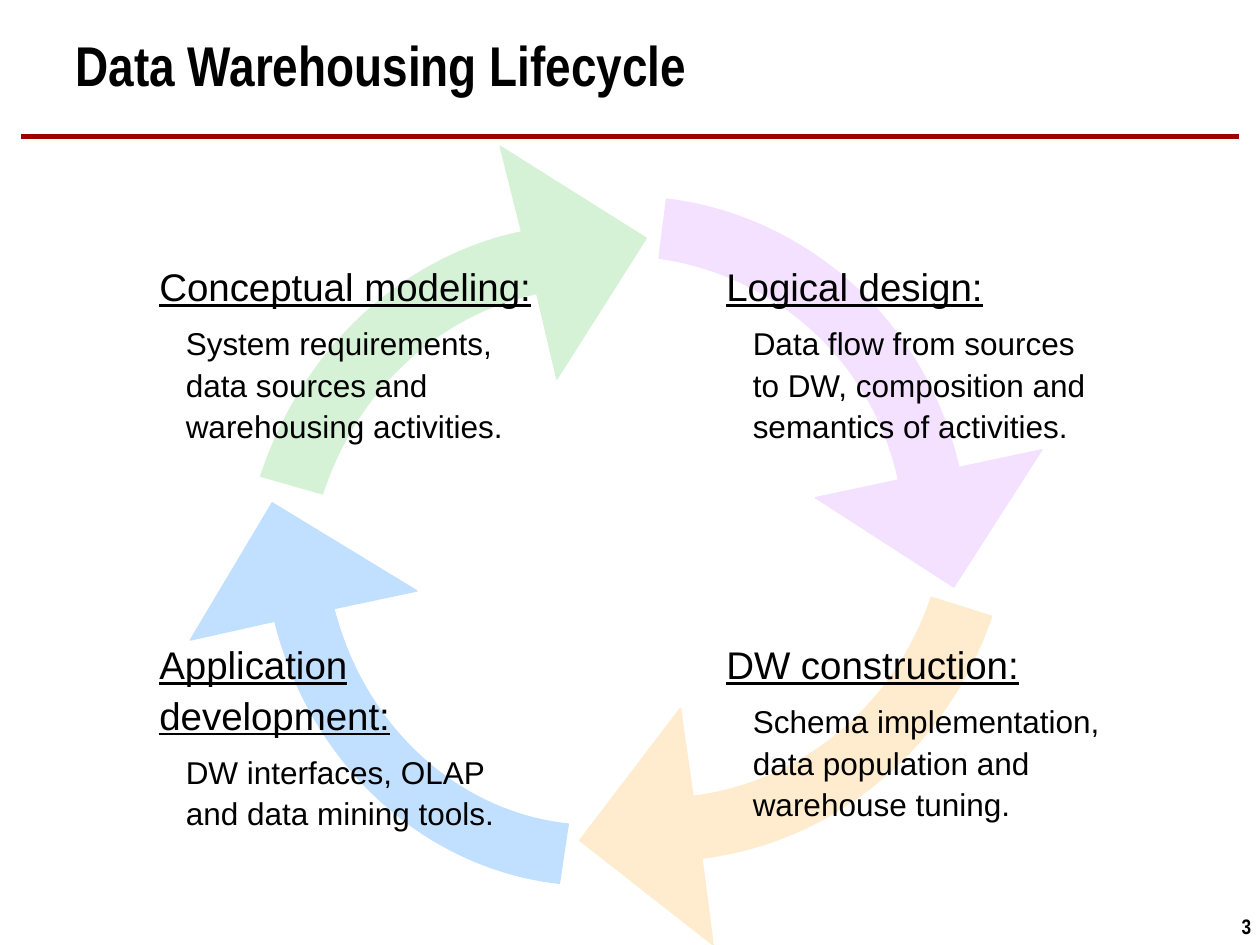
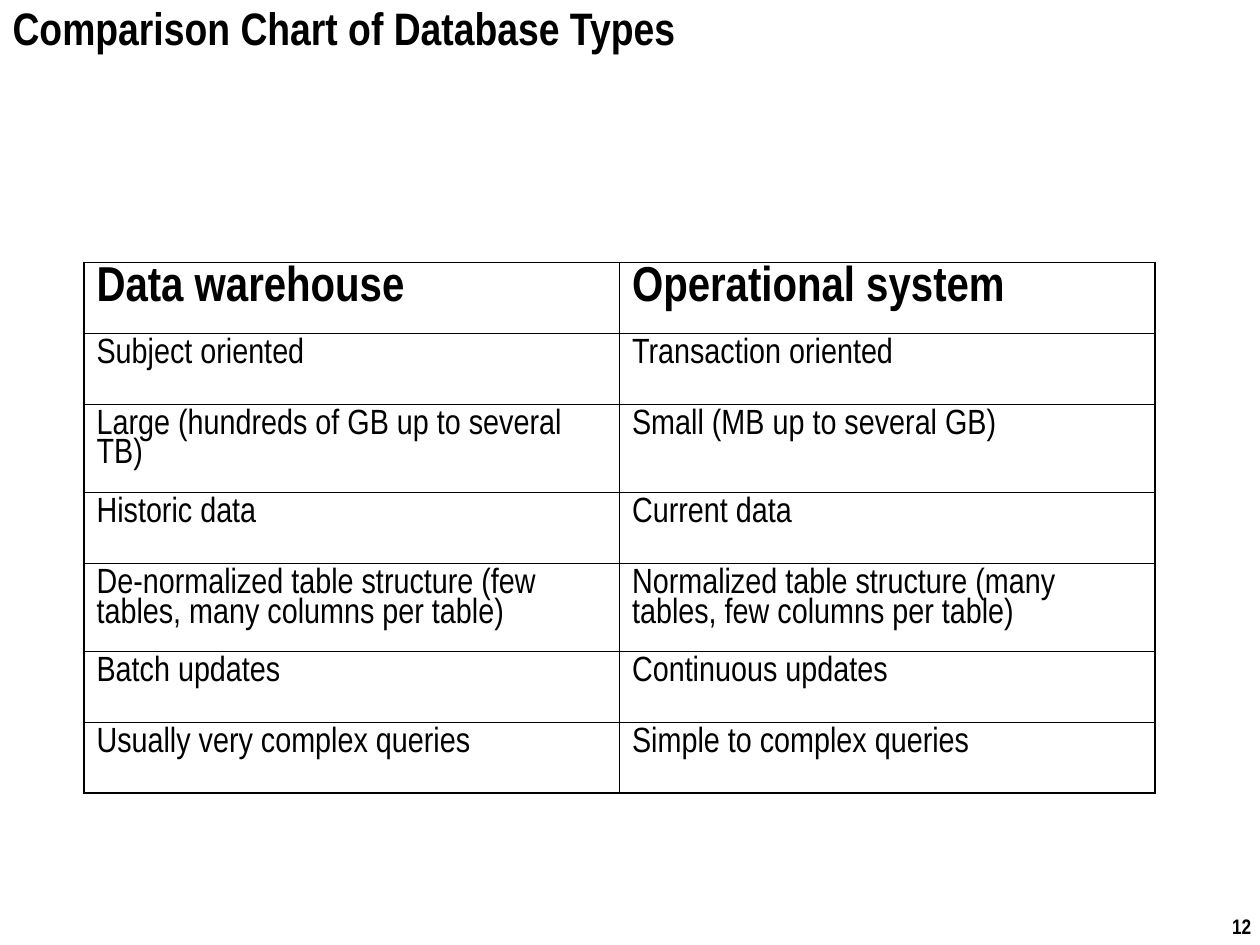
"""Build two slides: the data warehousing lifecycle and a database comparison table."""
import math

from lxml import etree
from pptx import Presentation
from pptx.dml.color import RGBColor
from pptx.enum.shapes import MSO_CONNECTOR
from pptx.enum.text import MSO_ANCHOR, MSO_AUTO_SIZE, PP_ALIGN
from pptx.oxml.ns import qn
from pptx.util import Inches, Pt

STRAIGHT = MSO_CONNECTOR.STRAIGHT
TOP = MSO_ANCHOR.TOP
NO_FIT, GROW = MSO_AUTO_SIZE.NONE, MSO_AUTO_SIZE.SHAPE_TO_FIT_TEXT
LEFT, RIGHT = PP_ALIGN.LEFT, PP_ALIGN.RIGHT
COLORS = {
    "text": "000000", "rule": "9E0000", "logical": "F3E1FF",
    "construction": "FFEBCD", "conceptual": "D6F2D6", "application": "C1E0FF",
}
HEAD_FONT, BODY_FONT = "Arial Narrow", "Arial"

SLIDES = [
    ("Data Warehousing Lifecycle", 32, (0.5, 0.25, 9, 0.67), "3"),
    ("Comparison Chart of Database Types", 26, (0, 0, 8.5, 1.25), "12"),
]
# Each arrow: frame, rotation, inner arc ends, outer arc ends, then barb, tip, barb.
ARROWS = {
    "logical": ((2.18, 1.56, 5.5, 5.45), 37.2,
                [(7.13, 3.81), (5.23, 2.05)], [(5.29, 1.58), (7.61, 3.71)],
                [(8.27, 3.57), (7.57, 4.66), (6.47, 3.95)]),
    "construction": ((2.42, 1.2, 5.52, 5.67), 131.1,
                     [(5.5, 6.32), (7.39, 4.74)], [(7.87, 4.89), (5.57, 6.81)],
                     [(5.66, 7.5), (4.6, 6.67), (5.4, 5.62)]),
    "conceptual": ((2.05, 1.72, 5.51, 5.72), 305.6,
                   [(4.26, 2.33), (2.56, 3.92)], [(2.07, 3.78), (4.14, 1.84)],
                   [(3.97, 1.16), (5.13, 1.89), (4.42, 3.01)]),
    "application": ((2.02, 1.73, 5.63, 5.28), 214.4,
                    [(2.65, 4.83), (4.51, 6.54)], [(4.44, 7.01), (2.18, 4.93)],
                    [(1.51, 5.08), (2.16, 3.99), (3.31, 4.69)]),
}
COL_1, COL_2 = 7 / 6, 17 / 3
STAGES = [
    (COL_1, 2, 3.5, 1.59, "Conceptual modeling:",
     ["System requirements,", "data sources and", "warehousing activities."]),
    (COL_2, 2, 3.5, 1.59, "Logical design:",
     ["Data flow from sources", "to DW, composition and", "semantics of activities."]),
    (COL_2, 5, 3.5, 1.59, "DW construction:",
     ["Schema implementation,", "data population and", "warehouse tuning."]),
    (COL_1, 5, 3.33, 1.66, "Application development:",
     ["DW interfaces, OLAP", "and data mining tools."]),
]
ROWS = [
    ("Data warehouse", "Operational system"),
    ("Subject oriented", "Transaction oriented"),
    ("Large (hundreds of GB up to several TB)", "Small (MB up to several GB)"),
    ("Historic data", "Current data"),
    ("De-normalized table structure (few tables, many columns per table)",
     "Normalized table structure (many tables, few columns per table)"),
    ("Batch updates", "Continuous updates"),
    ("Usually very complex queries", "Simple to complex queries"),
]
ONE_LINE, TWO_LINES = 9 / 16, 0.7
ROW_HEIGHTS = [ONE_LINE, ONE_LINE, TWO_LINES, ONE_LINE, TWO_LINES, ONE_LINE, ONE_LINE]


def style(p, font, size, spacing=1.0, bold=False, underline=False, align=LEFT):
    p.alignment = align
    p.line_spacing = spacing
    for r in p.runs:
        r.font.name, r.font.size = font, Pt(size)
        r.font.bold, r.font.underline = bold, underline
        r.font.color.rgb = RGBColor.from_string(COLORS["text"])


def arc(cx, cy, start, end):
    radius = (math.dist((cx, cy), start) + math.dist((cx, cy), end)) / 2
    a1 = math.atan2(start[1] - cy, start[0] - cx)
    a2 = math.atan2(end[1] - cy, end[0] - cx)
    half = math.remainder(a2 - a1, math.tau) / 2
    pull = radius * 4 / 3 * math.tan(half / 4)
    curves = []
    for a, b in [(a1, a1 + half), (a1 + half, a1 + 2 * half)]:
        x1, y1 = cx + radius * math.cos(a), cy + radius * math.sin(a)
        x2, y2 = cx + radius * math.cos(b), cy + radius * math.sin(b)
        curves.append(("cubicBezTo", [(x1 - pull * math.sin(a), y1 + pull * math.cos(a)),
                                      (x2 + pull * math.sin(b), y2 - pull * math.cos(b)),
                                      (x2, y2)]))
    curves[-1][1][-1] = end
    return curves


prs = Presentation()
prs.slide_width, prs.slide_height = Inches(10), Inches(7.5)

for title, size, box, number in SLIDES:
    s = prs.slides.add_slide(prs.slide_layouts[5])
    sp = s.shapes.title
    sp.left, sp.top, sp.width, sp.height = [Inches(v) for v in box]
    tf = sp.text_frame
    tf.text = title
    tf.vertical_anchor, tf.auto_size, tf.word_wrap = TOP, NO_FIT, True
    style(tf.paragraphs[0], HEAD_FONT, size, 0.9, bold=True)

    tf = s.shapes.add_textbox(Inches(9.42), Inches(7.25), Inches(0.51), Inches(0.2)).text_frame
    tf.margin_left = tf.margin_right = tf.margin_top = tf.margin_bottom = 0
    tf.word_wrap = True
    tf.text = number
    style(tf.paragraphs[0], HEAD_FONT, 12, bold=True, align=RIGHT)

lifecycle, comparison = prs.slides

for name, (frame, rotation, inner, outer, head) in ARROWS.items():
    x, y, w, h = frame
    cx, cy = x + w / 2, y + h / 2
    fb = lifecycle.shapes.build_freeform(Inches(x), Inches(y))
    fb.add_line_segments([(Inches(x + w), Inches(y)), (Inches(x + w), Inches(y + h)),
                          (Inches(x), Inches(y + h))], close=True)
    sp = fb.convert_to_shape()
    sp.rotation = rotation
    sp.shadow.inherit = False
    color = RGBColor.from_string(COLORS[name])
    sp.fill.solid()
    sp.fill.fore_color.rgb = color
    sp.line.color.rgb = color
    sp.line.width = Pt(0.75)

    outline = [("moveTo", inner[:1]), *arc(cx, cy, *inner),
               ("lnTo", outer[:1]), *arc(cx, cy, *outer)]
    outline += [("lnTo", [point]) for point in head + inner[:1]] + [("close", [])]
    path = sp._element.spPr.find(".//" + qn("a:path"))
    for child in list(path):
        path.remove(child)
    cos, sin = math.cos(math.radians(rotation)), math.sin(math.radians(rotation))
    for command, points in outline:
        step = etree.SubElement(path, qn(f"a:{command}"))
        for px, py in points:
            dx, dy = px - cx, py - cy
            etree.SubElement(step, qn("a:pt"), x=str(Inches(w / 2 + dx * cos + dy * sin)),
                             y=str(Inches(h / 2 - dx * sin + dy * cos)))

rule_y = Inches(13 / 12)
rule = lifecycle.shapes.add_connector(STRAIGHT, Inches(0.17), rule_y, Inches(9.83), rule_y)
rule.line.color.rgb = RGBColor.from_string(COLORS["rule"])
rule.line.width = Pt(3)
etree.SubElement(rule._element.spPr, qn("a:effectLst"))

for x, y, width, height, heading, lines in STAGES:
    tf = lifecycle.shapes.add_textbox(Inches(x), Inches(y), Inches(width), Inches(height)).text_frame
    tf.word_wrap, tf.auto_size = True, GROW
    tf.text = heading
    style(tf.paragraphs[0], BODY_FONT, 22, 1.1, underline=True)
    for i, line in enumerate(lines):
        p = tf.add_paragraph()
        p.text = line
        style(p, BODY_FONT, 18, 1.1)
        p.space_before = Pt(0 if i else 6.5)
        p._p.get_or_add_pPr().set("marL", str(Inches(0.21)))

table = comparison.shapes.add_table(len(ROWS), 2, Inches(2 / 3), Inches(25 / 12),
                                    Inches(8.5), Inches(sum(ROW_HEIGHTS))).table
table.first_row = table.horz_banding = False
for col in table.columns:
    col.width = Inches(4.25)
for i, (texts, height) in enumerate(zip(ROWS, ROW_HEIGHTS)):
    table.rows[i].height = Inches(height)
    for j, text in enumerate(texts):
        cell = table.cell(i, j)
        cell.text = text
        cell.fill.background()
        p = cell.text_frame.paragraphs[0]
        style(p, HEAD_FONT, 20 if i else 28, 0.9, bold=i == 0)
        p.space_before = Pt(3.7 if i else 5.2)
        outer_edges = {"lnL": j == 0, "lnR": j == 1, "lnT": i == 0, "lnB": i == len(ROWS) - 1}
        tcPr = cell._tc.get_or_add_tcPr()
        for k, (edge, is_outer) in enumerate(outer_edges.items()):
            ln = etree.Element(qn(f"a:{edge}"), w=str(Pt(1.08 if is_outer else 0.45)))
            fill = etree.SubElement(ln, qn("a:solidFill"))
            etree.SubElement(fill, qn("a:srgbClr"), val=COLORS["text"])
            tcPr.insert(k, ln)

prs.save("out.pptx")
